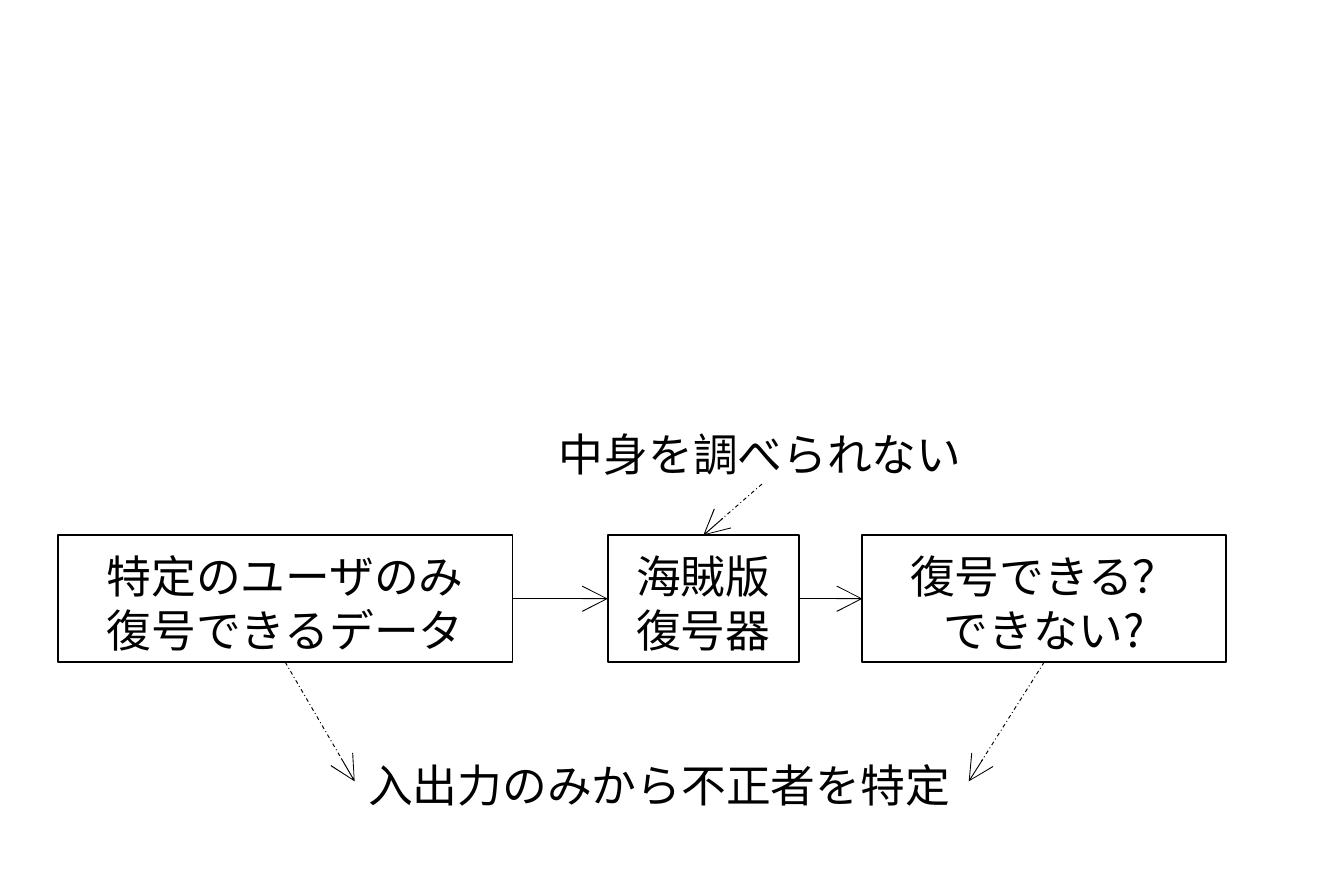
from dataclasses import dataclass
from typing import Optional

import pptx
import pptx.dml.color
import pptx.enum.dml
import pptx.enum.shapes
import pptx.enum.text
import pptx.oxml.ns
import pptx.oxml.xmlchemy
import pptx.util
from lxml import etree

Pt = pptx.util.Pt
qn = pptx.oxml.ns.qn
ALIGN = pptx.enum.text.PP_ALIGN
ANCHOR = pptx.enum.text.MSO_ANCHOR
DASH = pptx.enum.dml.MSO_LINE


@dataclass(frozen=True)
class Theme:
    ink: pptx.dml.color.RGBColor = pptx.dml.color.RGBColor(0, 0, 0)
    latin: str = "Calibri"
    japanese: str = "Noto Sans CJK JP"
    size: float = 12
    leading: float = 14.5
    border: float = 0.5
    arrow: float = 0.25


@dataclass(frozen=True)
class Stage:
    left: float
    right: float
    lines: tuple[str, ...]

    @property
    def center(self) -> float:
        return (self.left + self.right) / 2


@dataclass(frozen=True)
class Note:
    left: float
    top: float
    width: float
    text: str


THEME = Theme()
STAGE_TOP, STAGE_BOTTOM = 143.3, 177.3
STAGE_MIDDLE = (STAGE_TOP + STAGE_BOTTOM) / 2
NOTE_HEIGHT = 18

DATA = Stage(15.5, 137.3, ("特定のユーザのみ", "復号できるデータ"))
DECODER = Stage(162.8, 214, ("海賊版", "復号器"))
RESULT = Stage(231, 328.4, ("復号できる？", "できない?"))
STAGES = (DATA, DECODER, RESULT)

HIDDEN_INSIDE = Note(146.1, 111.6, 116, "中身を調べられない")
TRACING = Note(95, 200.2, 164.5, "入出力のみから不正者を特定")
NOTES = (HIDDEN_INSIDE, TRACING)


def write_text(box, lines: tuple[str, ...], *, font: str, align, anchor,
               side: float, top: float, bottom: float, wrap: bool) -> None:
    frame = box.text_frame
    frame.word_wrap = wrap
    frame.vertical_anchor = anchor
    frame.margin_left = frame.margin_right = Pt(side)
    frame.margin_top, frame.margin_bottom = Pt(top), Pt(bottom)
    for index, line in enumerate(lines):
        para = frame.add_paragraph() if index else frame.paragraphs[0]
        para.alignment = align
        para.line_spacing = Pt(THEME.leading)
        span = para.add_run()
        span.text = line
        span.font.size = Pt(THEME.size)
        span.font.color.rgb = THEME.ink
        span.font.name = font if index == 0 else THEME.japanese
        etree.SubElement(span.font._element, qn("a:ea"), typeface=THEME.japanese)


def draw_stage(page, stage: Stage) -> None:
    box = page.shapes.add_shape(
        pptx.enum.shapes.MSO_SHAPE.RECTANGLE, Pt(stage.left), Pt(STAGE_TOP),
        Pt(stage.right - stage.left), Pt(STAGE_BOTTOM - STAGE_TOP))
    box.shadow.inherit = False
    box.fill.background()
    box.line.color.rgb = THEME.ink
    box.line.width = Pt(THEME.border)
    write_text(box, stage.lines, font=THEME.latin, align=ALIGN.CENTER,
               anchor=ANCHOR.MIDDLE, side=7.2, top=2, bottom=0, wrap=True)


def draw_note(page, note: Note) -> None:
    box = page.shapes.add_textbox(
        Pt(note.left), Pt(note.top), Pt(note.width), Pt(NOTE_HEIGHT))
    write_text(box, (note.text,), font=THEME.japanese, align=ALIGN.LEFT,
               anchor=ANCHOR.TOP, side=3.6, top=2.5, bottom=1, wrap=False)


def draw_arrow(page, start: tuple[float, float], end: tuple[float, float],
               dash: Optional[DASH] = None) -> None:
    arrow = page.shapes.add_connector(
        pptx.enum.shapes.MSO_CONNECTOR.STRAIGHT,
        Pt(start[0]), Pt(start[1]), Pt(end[0]), Pt(end[1]))
    arrow.line.color.rgb = THEME.ink
    arrow.line.width = Pt(THEME.arrow)
    if dash is not None:
        arrow.line.dash_style = dash
    etree.SubElement(arrow.line._get_or_add_ln(), qn("a:tailEnd"), type="arrow")
    etree.SubElement(arrow._element.spPr, qn("a:effectLst"))


def main() -> None:
    deck = pptx.Presentation()
    deck.slide_width, deck.slide_height = Pt(360), Pt(234)
    page = deck.slides.add_slide(deck.slide_layouts[6])

    for stage in STAGES:
        draw_stage(page, stage)
    for note in NOTES:
        draw_note(page, note)

    for source, target in zip(STAGES, STAGES[1:]):
        draw_arrow(page, (source.right, STAGE_MIDDLE), (target.left, STAGE_MIDDLE))

    tracing_middle = TRACING.top + NOTE_HEIGHT / 2
    tracing_right = TRACING.left + TRACING.width
    hidden_center = HIDDEN_INSIDE.left + HIDDEN_INSIDE.width / 2
    for start, end in (
        ((hidden_center, HIDDEN_INSIDE.top + NOTE_HEIGHT), (DECODER.center, STAGE_TOP)),
        ((DATA.center, STAGE_BOTTOM), (TRACING.left, tracing_middle)),
        ((RESULT.center, STAGE_BOTTOM), (tracing_right, tracing_middle)),
    ):
        draw_arrow(page, start, end, DASH.DASH_DOT)

    deck.save("out.pptx")


if __name__ == "__main__":
    main()
